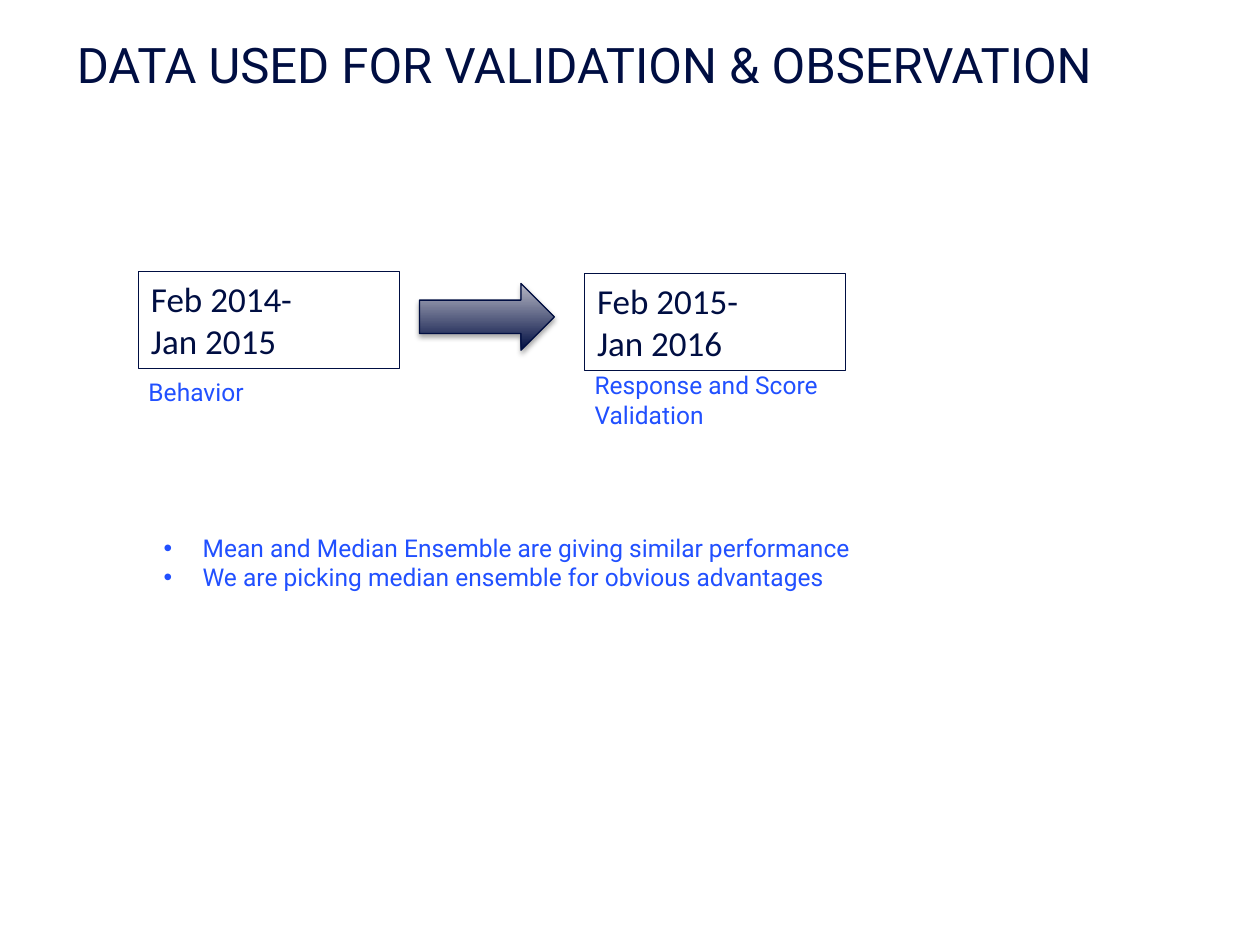
import pptx
import pptx.util
import pptx.dml.color
import pptx.enum.shapes
import pptx.enum.text
import pptx.oxml
import pptx.oxml.ns
from pptx.util import Inches, Pt

COLORS = {"navy": "000E42", "arrow edge": "000E41", "grey": "B8B8C5", "blue": "2150FF"}


def rgb(name):
    return pptx.dml.color.RGBColor.from_string(COLORS[name])


def write(frame, lines, font, size, color):
    """Fill a text frame with one left-aligned paragraph per line."""
    frame.word_wrap = True
    for number, line in enumerate(lines):
        paragraph = frame.add_paragraph() if number else frame.paragraphs[0]
        paragraph.alignment = pptx.enum.text.PP_ALIGN.LEFT
        run = paragraph.add_run()
        run.text = line
        run.font.name = font
        run.font.size = Pt(size)
        run.font.color.rgb = rgb(color)


deck = pptx.Presentation()
deck.slide_width, deck.slide_height = Inches(10), Inches(7.5)
slide = deck.slides.add_slide(deck.slide_layouts[5])
shapes = slide.shapes

title = shapes.title
title.left, title.top = Inches(0.51), Inches(0.33)
title.width, title.height = Inches(8.9), Inches(0.67)
title.text_frame.vertical_anchor = pptx.enum.text.MSO_ANCHOR.TOP
title.text_frame.auto_size = pptx.enum.text.MSO_AUTO_SIZE.NONE
write(title.text_frame, ["DATA USED FOR VALIDATION & OBSERVATION"], "Roboto", 28, "navy")
title.text_frame.paragraphs[0].line_spacing = 0.75

# Each period: left and top of its box, top and height of its caption
periods = [
    (1.1, 2.15, ["Feb 2014-", "Jan 2015"], 2.94, 0.34, "Behavior"),
    (4.64, 2.17, ["Feb 2015-", "Jan 2016"], 2.89, 0.57, "Response and Score Validation"),
]
for left, top, dates, caption_top, caption_height, role in periods:
    period = shapes.add_shape(
        pptx.enum.shapes.MSO_SHAPE.RECTANGLE,
        Inches(left), Inches(top), Inches(2.07), Inches(0.77))
    period.shadow.inherit = False
    period.fill.background()
    period.line.color.rgb = rgb("navy")
    period.line.width = Pt(0.25)
    write(period.text_frame, dates, "Calibri", 20, "navy")

    caption = shapes.add_textbox(
        Inches(left - 0.02), Inches(caption_top), Inches(2.21), Inches(caption_height))
    write(caption.text_frame, [role], "Roboto", 14, "blue")

arrow = shapes.add_shape(
    pptx.enum.shapes.MSO_SHAPE.RIGHT_ARROW,
    Inches(3.33), Inches(2.25), Inches(1.07), Inches(0.53))
arrow.fill.gradient()
arrow.fill.gradient_angle = 90
for stop, position, color in zip(arrow.fill.gradient_stops, (0, 1), ("navy", "grey")):
    stop.position = position
    stop.color.rgb = rgb(color)
arrow.line.color.rgb = rgb("arrow edge")
arrow.line.width = Pt(0.75)
arrow.shadow.inherit = False
effects = arrow._element.spPr.find(pptx.oxml.ns.qn("a:effectLst"))
effects.append(pptx.oxml.parse_xml(
    f'<a:outerShdw {pptx.oxml.ns.nsdecls("a")} blurRad="{Pt(3.1)}" dist="{Pt(1.8)}"'
    ' dir="5400000" rotWithShape="0">'
    '<a:srgbClr val="000000"><a:alpha val="35000"/></a:srgbClr></a:outerShdw>'))

findings = shapes.add_textbox(Inches(1.2), Inches(4.18), Inches(7.63), Inches(0.57))
write(findings.text_frame, [
    "Mean and Median Ensemble are giving similar performance",
    "We are picking median ensemble for obvious advantages",
], "Roboto", 14, "blue")
for paragraph in findings.text_frame.paragraphs:
    properties = paragraph._p.get_or_add_pPr()
    properties.set("marL", str(Inches(0.31)))
    properties.set("indent", str(Inches(-0.31)))
    for bullet in ('buFont {} typeface="Arial"', 'buChar {} char="•"'):
        properties.append(pptx.oxml.parse_xml(
            f'<a:{bullet.format(pptx.oxml.ns.nsdecls("a"))}/>'))

deck.save("out.pptx")
